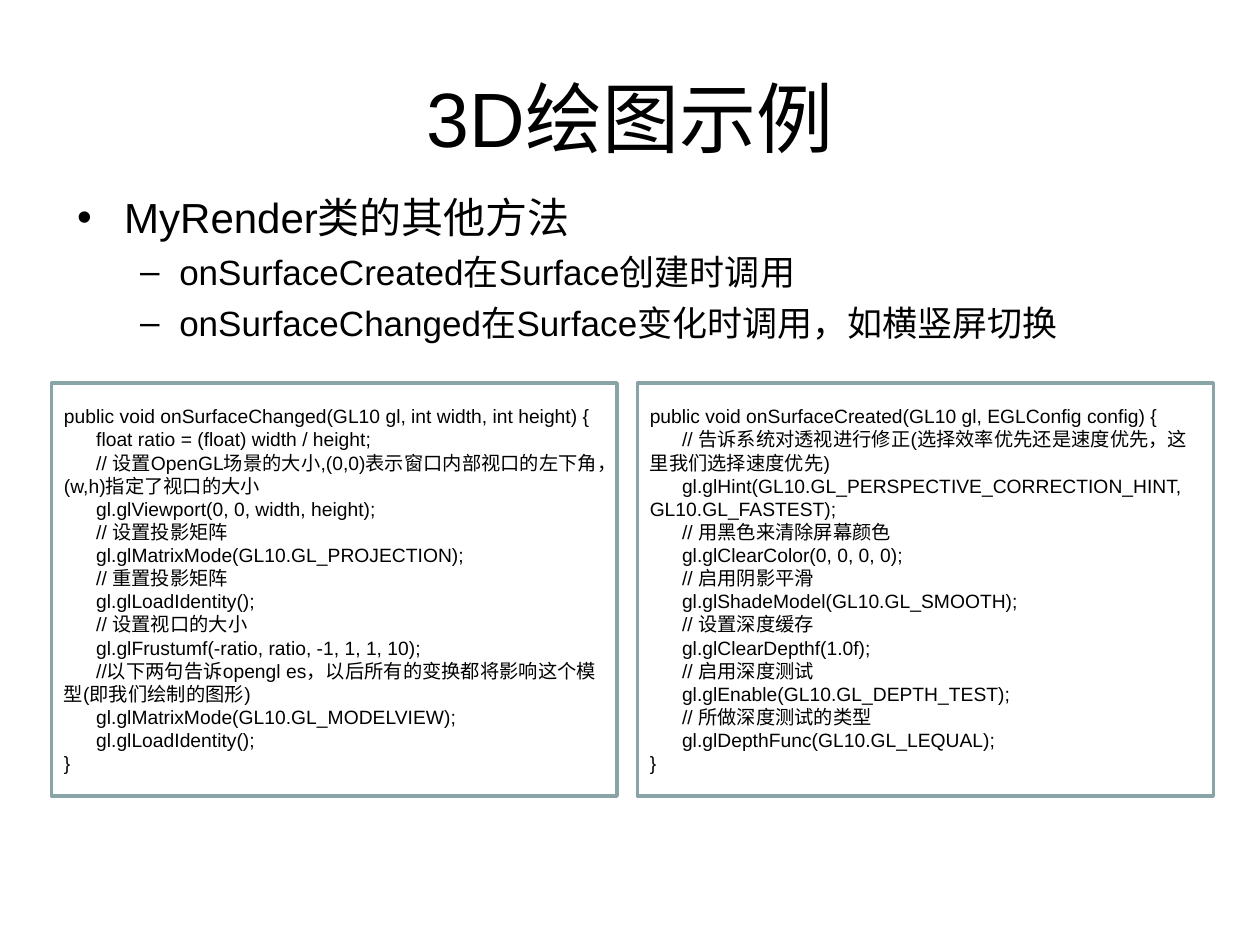
from dataclasses import dataclass

from pptx import Presentation
from pptx.dml.color import RGBColor
from pptx.enum import shapes, text
from pptx.util import Cm, Pt

FONT = "Arial"
BLACK = "000000"
WHITE = "FFFFFF"
BORDER = "89A4A7"
PANEL_TOP = 7.72
PANEL_HEIGHT = 8.33
CODE_INDENT = 0.65


@dataclass
class Bullet:
    wording: str
    level: int
    size: float
    margin: float
    hanging: float
    before: float


@dataclass
class CodePanel:
    left: float
    width: float
    heading: str
    statements: list[str]


BULLETS = [
    Bullet("MyRender类的其他方法", 0, 24, 0.95, 0.95, 6),
    Bullet("onSurfaceCreated在Surface创建时调用", 1, 20, 2.06, 0.79, 5),
    Bullet("onSurfaceChanged在Surface变化时调用，如横竖屏切换", 1, 20, 2.06, 0.79, 5),
]

PANELS = [
    CodePanel(
        1.04,
        11.4,
        "public void onSurfaceChanged(GL10 gl, int width, int height) {",
        [
            "float ratio = (float) width / height;",
            "// 设置OpenGL场景的大小,(0,0)表示窗口内部视口的左下角，(w,h)指定了视口的大小",
            "gl.glViewport(0, 0, width, height);",
            "// 设置投影矩阵",
            "gl.glMatrixMode(GL10.GL_PROJECTION);",
            "// 重置投影矩阵",
            "gl.glLoadIdentity();",
            "// 设置视口的大小",
            "gl.glFrustumf(-ratio, ratio, -1, 1, 1, 10);",
            "//以下两句告诉opengl es，以后所有的变换都将影响这个模型(即我们绘制的图形)",
            "gl.glMatrixMode(GL10.GL_MODELVIEW);",
            "gl.glLoadIdentity();",
        ],
    ),
    CodePanel(
        12.85,
        11.61,
        "public void onSurfaceCreated(GL10 gl, EGLConfig config) {",
        [
            "// 告诉系统对透视进行修正(选择效率优先还是速度优先，这里我们选择速度优先)",
            "gl.glHint(GL10.GL_PERSPECTIVE_CORRECTION_HINT, GL10.GL_FASTEST);",
            "// 用黑色来清除屏幕颜色",
            "gl.glClearColor(0, 0, 0, 0);",
            "// 启用阴影平滑",
            "gl.glShadeModel(GL10.GL_SMOOTH);",
            "// 设置深度缓存",
            "gl.glClearDepthf(1.0f);",
            "// 启用深度测试",
            "gl.glEnable(GL10.GL_DEPTH_TEST);",
            "// 所做深度测试的类型",
            "gl.glDepthFunc(GL10.GL_LEQUAL);",
        ],
    ),
]


def paint(target, color: str) -> None:
    target.rgb = RGBColor.from_string(color)


def place(box, left: float, top: float, width: float, height: float) -> None:
    box.left, box.top, box.width, box.height = map(Cm, (left, top, width, height))


def write(para, wording: str, size: float) -> None:
    para.text = wording
    para.font.name = FONT
    para.font.size = Pt(size)
    paint(para.font.color, BLACK)


def indent(para, margin: float, first_line: float) -> None:
    properties = para._p.get_or_add_pPr()
    properties.set("marL", str(Cm(margin)))
    properties.set("indent", str(Cm(first_line)))


def next_paragraph(frame, index: int):
    return frame.paragraphs[0] if index == 0 else frame.add_paragraph()


def draw_title(page, wording: str) -> None:
    box = page.shapes.title
    place(box, 1.27, 0.76, 22.86, 3.18)
    para = box.text_frame.paragraphs[0]
    write(para, wording, 44)
    para.alignment = text.PP_ALIGN.CENTER


def draw_bullets(page, bullets: list[Bullet]) -> None:
    box = page.placeholders[1]
    place(box, 1.3, 3.73, 22.86, 3.99)
    frame = box.text_frame
    frame.auto_size = text.MSO_AUTO_SIZE.NONE
    for index, bullet in enumerate(bullets):
        para = next_paragraph(frame, index)
        write(para, bullet.wording, bullet.size)
        para.level = bullet.level
        para.space_before = Pt(bullet.before)
        indent(para, bullet.margin, -bullet.hanging)


def draw_panel(page, panel: CodePanel) -> None:
    box = page.shapes.add_shape(
        shapes.MSO_SHAPE.RECTANGLE,
        Cm(panel.left), Cm(PANEL_TOP), Cm(panel.width), Cm(PANEL_HEIGHT),
    )
    box.shadow.inherit = False
    box.fill.solid()
    paint(box.fill.fore_color, WHITE)
    paint(box.line.color, BORDER)
    box.line.width = Pt(2)
    frame = box.text_frame
    frame.word_wrap = True
    frame.vertical_anchor = text.MSO_ANCHOR.MIDDLE
    lines = [panel.heading, *panel.statements, "}"]
    for index, line in enumerate(lines):
        para = next_paragraph(frame, index)
        write(para, line, 11)
        para.alignment = text.PP_ALIGN.LEFT
        if line in panel.statements:
            indent(para, 0, CODE_INDENT)


def main() -> None:
    deck = Presentation()
    deck.slide_width, deck.slide_height = Cm(25.4), Cm(19.05)
    page = deck.slides.add_slide(deck.slide_layouts[1])
    draw_title(page, "3D绘图示例")
    draw_bullets(page, BULLETS)
    for panel in PANELS:
        draw_panel(page, panel)
    deck.save("out.pptx")


if __name__ == "__main__":
    main()
